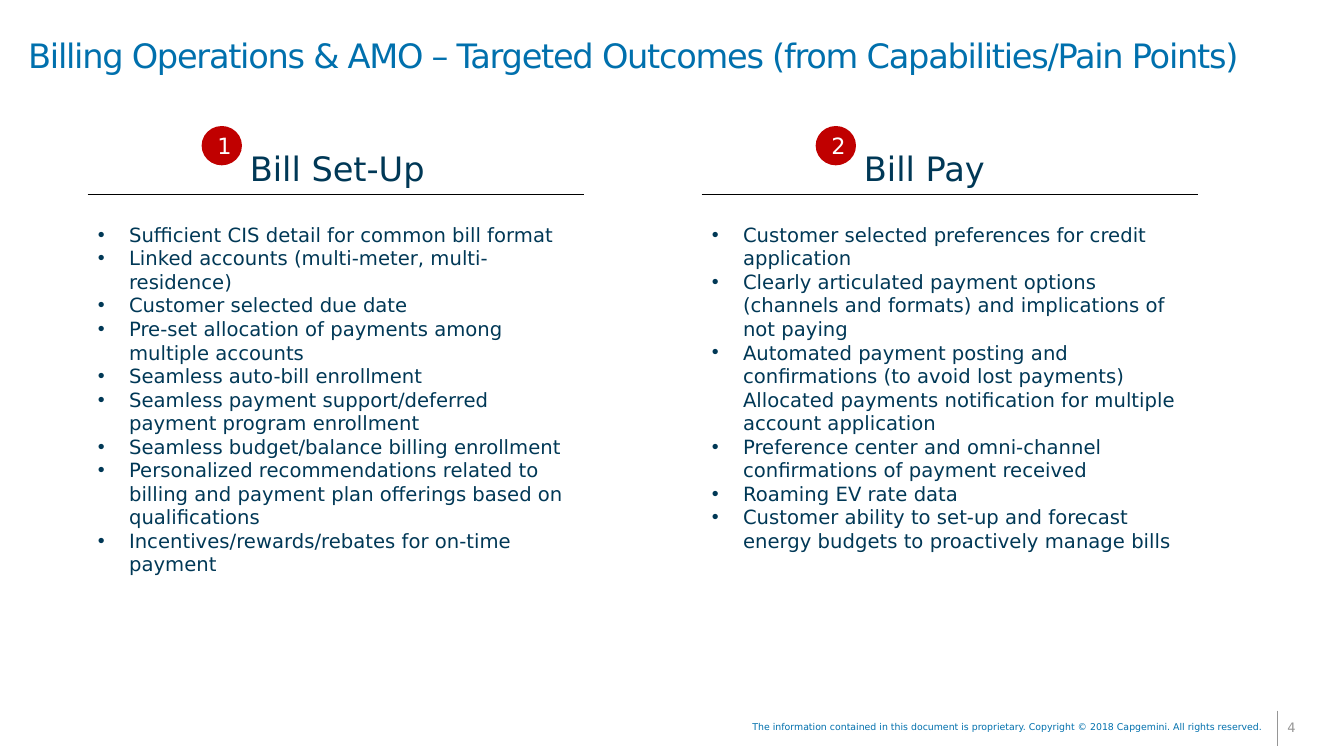
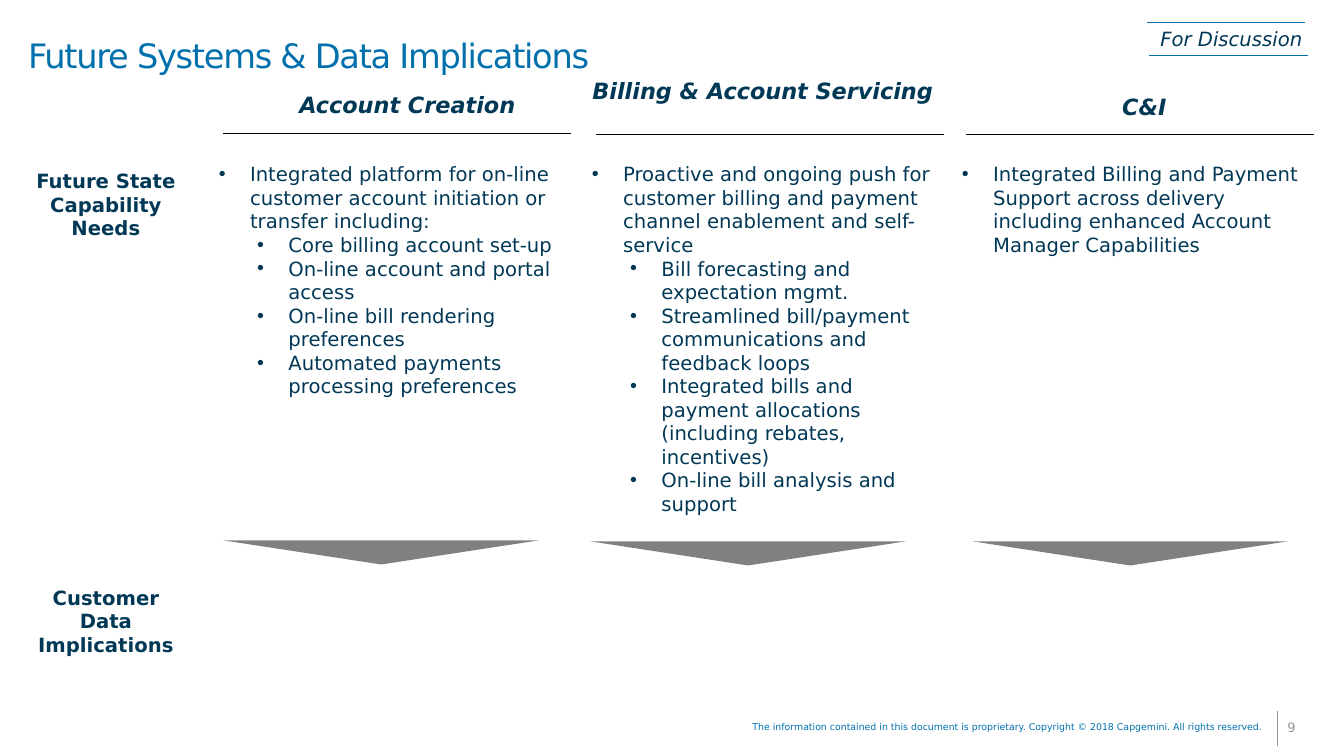
from copy import deepcopy

from lxml import etree
from pptx import Presentation
from pptx import util as u
from pptx.dml import color
from pptx.enum import shapes, text
from pptx.oxml import ns

PX = 9144  # 100 px to the inch
FONT = "DejaVu Sans"
HUES = {"blue": "0070AD", "navy": "003856", "grey": "969696", "arrow": "808080",
        "red": "C00000", "white": "FFFFFF", "black": "000000"}
RGB = {name: color.RGBColor.from_string(code) for name, code in HUES.items()}
LEFT, MID, RIGHT = text.PP_ALIGN.LEFT, text.PP_ALIGN.CENTER, text.PP_ALIGN.RIGHT


def write(box, words, at=None, size=14, hue="navy", bold=False, slant=False,
          align=LEFT, lead=1.0, middle=False, wrap=True, bullet=False, inset=None, track=None):
    """Fill a shape, or a new text box when given a slide; a leading tab marks a sub-bullet."""
    if hasattr(box, "shapes"):
        box = box.shapes.add_textbox(*(n * PX for n in at))
    elif at:
        box.left, box.top, box.width, box.height = (n * PX for n in at)
    frame = box.text_frame
    frame.word_wrap = wrap
    frame.auto_size = text.MSO_AUTO_SIZE.NONE
    frame.vertical_anchor = text.MSO_ANCHOR.MIDDLE if middle else text.MSO_ANCHOR.TOP
    if inset:
        (frame.margin_left, frame.margin_top,
         frame.margin_right, frame.margin_bottom) = (n * PX for n in inset)
    for i, item in enumerate([words] if isinstance(words, str) else words):
        para = frame.add_paragraph() if i else frame.paragraphs[0]
        para.text = item.lstrip("\t")
        para.alignment, para.line_spacing, para.space_before = align, lead, u.Pt(0)
        if bullet:
            props = para._p.get_or_add_pPr()
            props.set("marL", str((69 if item.startswith("\t") else 31) * PX))
            props.set("indent", str(-31 * PX))
            etree.SubElement(props, ns.qn("a:buChar")).set("char", "•")
        for run in para.runs:
            font = run.font
            font.name, font.size, font.color.rgb = FONT, u.Pt(size), RGB[hue]
            font.bold, font.italic = bold, slant
            if track:
                run._r.get_or_add_rPr().set("spc", str(track))
        # Line breaks take the format of the text around them
        for gap in para._p.findall(ns.qn("a:br")):
            gap.append(deepcopy(para.runs[0]._r.rPr))
    return box


def rule(slide, x, y, x2, y2, hue="black"):
    line = slide.shapes.add_connector(shapes.MSO_CONNECTOR.STRAIGHT, *(n * PX for n in (x, y, x2, y2)))
    line.line.color.rgb, line.line.width = RGB[hue], u.Pt(0.75)
    etree.SubElement(line._element.spPr, ns.qn("a:effectLst"))


deck = Presentation()
deck.slide_width, deck.slide_height = 1333 * PX, 750 * PX

# Title and footer on each slide
pages = []
for layout, page, title in [
    (3, "4", "Billing Operations & AMO – Targeted Outcomes (from Capabilities/Pain Points)"),
    (4, "9", "Future Systems & Data Implications"),
]:
    slide = deck.slides.add_slide(deck.slide_layouts[layout])
    rule(slide, 1267, 705, 1267, 740, "grey")
    write(slide, page, (1267, 705, 66, 35), size=9.3, hue="grey", lead=0.85, middle=True)
    write(slide, "The information contained in this document is proprietary. "
          "Copyright © 2018 Capgemini. All rights reserved.",
          (599, 712, 664, 20), size=6.7, hue="blue", align=RIGHT, lead=0.85)
    write(slide.shapes.title, title, (0, 0, 1333, 116), size=24, hue="blue",
          lead=0.85, middle=True, inset=(28, 3, 15, 3), track=-90)
    pages.append(slide)
bills, needs = pages

# Slide 1: two numbered lists
topics = [
    ("Bill Set-Up", 200, [
        "Sufficient CIS detail for common bill format",
        "Linked accounts (multi-meter, multi-residence)",
        "Customer selected due date",
        "Pre-set allocation of payments among multiple accounts",
        "Seamless auto-bill enrollment",
        "Seamless payment support/deferred payment program enrollment",
        "Seamless budget/balance billing enrollment",
        "Personalized recommendations related to billing and payment plan offerings "
        "based on qualifications",
        "Incentives/rewards/rebates for on-time payment",
    ]),
    ("Bill Pay", 143, [
        "Customer selected preferences for credit application",
        "Clearly articulated payment options (channels and formats) and implications of not paying",
        "Automated payment posting and confirmations (to avoid lost payments)\v"
        "Allocated payments notification for multiple account application",
        "Preference center and omni-channel confirmations of payment received",
        "Roaming EV rate data",
        "Customer ability to set-up and forecast energy budgets to proactively manage bills",
    ]),
]
bodies = list(bills.placeholders)[1:]
for i, (head, wide, items) in enumerate(topics):
    x = 87 + 609 * i
    write(bodies[i], items, (x, 216, 492, 364), bullet=True)
    rule(bills, x, 193, x + 492, 193)
    badge = bills.shapes.add_shape(shapes.MSO_SHAPE.OVAL,
                                   *(n * PX for n in (x + 113, 125, 40, 39)))
    badge.shadow.inherit = False
    badge.fill.solid()
    badge.fill.fore_color.rgb = RGB["red"]
    badge.line.fill.background()
    write(badge, str(i + 1), size=16, hue="white", align=MID, middle=True)
    write(bills, head, (x + 151, 142, wide, 50), size=24, wrap=False)

# Slide 2: three columns, each with heading, list and arrow
# (heading, heading box, list left, rule left, rule top, arrow left, items)
columns = [
    ("Account Creation", (207, 86, 394, 37), 207, 221, 132, 221, [
        "Integrated platform for on-line customer account initiation or transfer including:",
        "\tCore billing account set-up",
        "\tOn-line account and portal access",
        "\tOn-line bill rendering preferences",
        "\tAutomated payments processing preferences",
    ]),
    ("Billing & Account Servicing", (577, 72, 359, 64), 577, 591, 133, 585, [
        "Proactive and ongoing push for customer billing and payment channel enablement "
        "and self-service",
        "\tBill forecasting and expectation mgmt.",
        "\tStreamlined bill/payment communications and feedback loops",
        "\tIntegrated bills and payment allocations (including rebates, incentives)",
        "\tOn-line bill analysis and support",
    ]),
    ("C&I", (938, 87, 394, 37), 944, 958, 133, 964, [
        "Integrated Billing and Payment Support across delivery including enhanced "
        "Account Manager Capabilities",
    ]),
]
bodies = list(needs.placeholders)[1:]
for body, (head, spot, x, start, y, tip, items) in zip(bodies, columns):
    write(body, items, (x, 156, 359, 364), bullet=True)
    write(needs, head, spot, size=16, bold=True, slant=True, align=MID)
    rule(needs, start, y, start + 345, y)
    arrow = needs.shapes.add_shape(shapes.MSO_SHAPE.ISOSCELES_TRIANGLE,
                                   *(n * PX for n in (tip, y + 404, 314, 24)))
    arrow.rotation = 180
    arrow.shadow.inherit = False
    arrow.fill.solid()
    arrow.fill.fore_color.rgb = RGB["arrow"]
    arrow.line.fill.background()
spare = bodies[-1]._element
spare.getparent().remove(spare)

# Row labels
for label, y in [("Future State Capability Needs", 163), ("Customer Data Implications", 576)]:
    write(needs, label, (24, y, 162, 81), bold=True, align=MID)

# Discussion tag
write(needs, "For Discussion", (1141, 22, 162, 34), slant=True, wrap=False)
rule(needs, 1138, 22, 1294, 22, "blue")
rule(needs, 1140, 55, 1297, 55, "blue")

deck.save("out.pptx")
